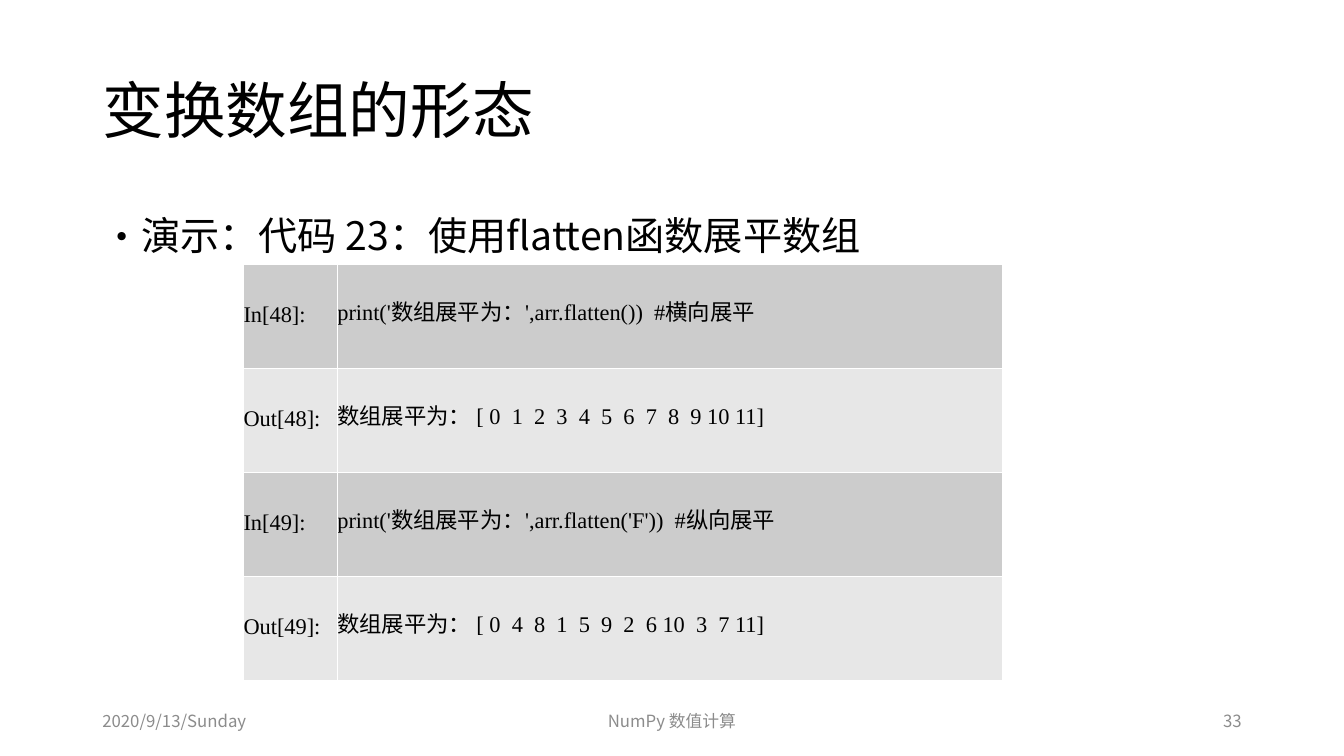
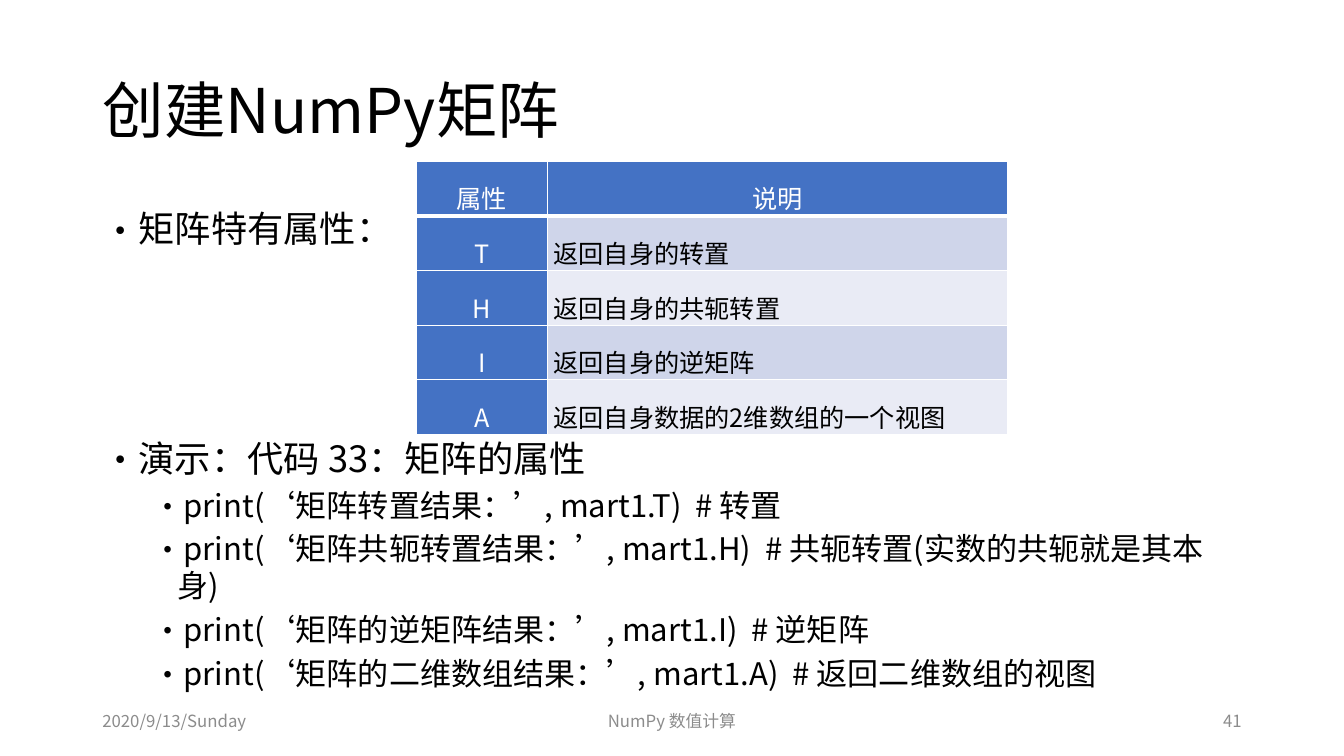
from lxml.etree import SubElement
from pptx import Presentation
from pptx.dml.color import RGBColor
from pptx.enum.text import MSO_ANCHOR, MSO_AUTO_SIZE, PP_ALIGN
from pptx.oxml.ns import qn
from pptx.util import Pt

COLORS = {
    "ink": "000000",
    "white": "FFFFFF",
    "muted": "8C8C8C",
    "blue": "4472C4",
    "blue_dark": "CFD5EA",
    "blue_light": "E9EBF5",
    "gray_dark": "CCCCCC",
    "gray_light": "E7E7E7",
}
SANS = "Noto Sans CJK SC"
SERIF = "Times New Roman"
LEFT, WIDTH = 66, 828


def color(name):
    return RGBColor.from_string(COLORS[name])


def write(para, text, size=18, font=SANS, ink="ink", align=PP_ALIGN.LEFT,
          line=None, before=0, bullet=False, level=0):
    para.alignment = align
    para.space_before = Pt(before)
    if line:
        para.line_spacing = line
    run = para.add_run()
    run.text = text
    run.font.size = Pt(size)
    run.font.name = font
    run.font.color.rgb = color(ink)
    SubElement(run.font._element, qn("a:ea"), typeface=SANS)
    if bullet:
        para.level = level
        props = para._p.get_or_add_pPr()
        props.set("marL", str(Pt(18 + 36 * level)))
        props.set("indent", str(Pt(-18)))
        SubElement(props, qn("a:buFont"), typeface=SANS)
        SubElement(props, qn("a:buChar"), char="•")


def border(cell, **sides):
    props = cell._tc.get_or_add_tcPr()
    for side, width in sides.items():
        line = SubElement(props, qn(f"a:ln{side}"), w=str(Pt(width)))
        fill = SubElement(line, qn("a:solidFill"))
        SubElement(fill, qn("a:srgbClr"), val=COLORS["white"])


class Deck:
    def __init__(self):
        self.file = Presentation()
        self.file.slide_width = Pt(960)
        self.file.slide_height = Pt(540)
        self.slide = None

    def start(self, title, number):
        self.slide = self.file.slides.add_slide(self.file.slide_layouts[5])
        self.title(title)
        self.footer(number)

    def title(self, text):
        shape = self.slide.shapes.title
        shape.left, shape.top = Pt(LEFT), Pt(29)
        shape.width, shape.height = Pt(WIDTH), Pt(104)
        frame = shape.text_frame
        frame.auto_size = MSO_AUTO_SIZE.NONE
        frame.vertical_anchor = MSO_ANCHOR.MIDDLE
        write(frame.paragraphs[0], text, size=44, line=0.9)

    def box(self, left, top, width, height):
        shape = self.slide.shapes.add_textbox(Pt(left), Pt(top), Pt(width), Pt(height))
        shape.text_frame.word_wrap = True
        return shape.text_frame

    def footer(self, number):
        parts = [
            (LEFT, 216, "2020/9/13/Sunday", PP_ALIGN.LEFT),
            (318, 324, "NumPy 数值计算", PP_ALIGN.CENTER),
            (678, 216, str(number), PP_ALIGN.RIGHT),
        ]
        for left, width, text, align in parts:
            frame = self.box(left, 500.5, width, 28.75)
            frame.vertical_anchor = MSO_ANCHOR.MIDDLE
            write(frame.paragraphs[0], text, size=12, ink="muted", align=align)

    def bullets(self, top, height, head, items=(), size=25.9, line=1.0):
        frame = self.box(LEFT, top, WIDTH, height)
        write(frame.paragraphs[0], head, size=size, line=line, bullet=True)
        for item in items:
            write(frame.add_paragraph(), item, size=22.2, line=line,
                  before=4.5, bullet=True, level=1)

    def table(self, rows, left, top, widths, height, style, inset=0, rule=1):
        shape = self.slide.shapes.add_table(
            len(rows), len(widths), Pt(left), Pt(top),
            Pt(sum(widths)), Pt(height * len(rows)))
        table = shape.table
        table.first_row = table.horz_banding = False
        for column, width in zip(table.columns, widths):
            column.width = Pt(width)
        for r, row in enumerate(rows):
            table.rows[r].height = Pt(height)
            for c, text in enumerate(row):
                cell = table.cell(r, c)
                cell.margin_left = cell.margin_right = Pt(inset)
                cell.margin_top = cell.margin_bottom = 0
                cell.vertical_anchor = MSO_ANCHOR.MIDDLE
                border(cell, L=1, R=1, T=1, B=1 if r else rule)
                fill, look = style(r, c)
                cell.fill.solid()
                cell.fill.fore_color.rgb = color(fill)
                write(cell.text_frame.paragraphs[0], text, **look)


def code_style(row, col):
    fill = "gray_light" if row % 2 else "gray_dark"
    return fill, dict(size=16, font=SERIF, align=PP_ALIGN.JUSTIFY, line=Pt(15))


def grid_style(row, col):
    if row == 0 or col == 0:
        return "blue", dict(ink="white", align=PP_ALIGN.CENTER, line=1.5)
    fill = "blue_dark" if row % 2 else "blue_light"
    return fill, dict(align=PP_ALIGN.JUSTIFY, line=1.5)


def main():
    deck = Deck()

    deck.start("变换数组的形态", 33)
    deck.bullets(144, 342, "演示：代码 23：使用flatten函数展平数组", size=28, line=1.1)
    deck.table([
        ("In[48]:", "print('数组展平为：',arr.flatten())  #横向展平"),
        ("Out[48]:", "数组展平为： [ 0  1  2  3  4  5  6  7  8  9 10 11]"),
        ("In[49]:", "print('数组展平为：',arr.flatten('F'))  #纵向展平"),
        ("Out[49]:", "数组展平为： [ 0  4  8  1  5  9  2  6 10  3  7 11]"),
    ], 174, 189, (67, 475), 74.25, code_style)

    deck.start("创建NumPy矩阵", 41)
    deck.bullets(144, 44, "矩阵特有属性：")
    deck.bullets(308, 188, "演示：代码 33：矩阵的属性", [
        "print(‘矩阵转置结果：’, mart1.T)  # 转置",
        "print(‘矩阵共轭转置结果：’, mart1.H)  # 共轭转置(实数的共轭就是其本身)",
        "print(‘矩阵的逆矩阵结果：’, mart1.I)  # 逆矩阵",
        "print(‘矩阵的二维数组结果：’, mart1.A)  # 返回二维数组的视图",
    ])
    deck.table([
        ("属性", "说明"),
        ("T", "返回自身的转置"),
        ("H", "返回自身的共轭转置"),
        ("I", "返回自身的逆矩阵"),
        ("A", "返回自身数据的2维数组的一个视图"),
    ], 297.3, 115.3, (93.8, 328.5), 39, grid_style, inset=4.3, rule=3)

    deck.file.save("out.pptx")


if __name__ == "__main__":
    main()
